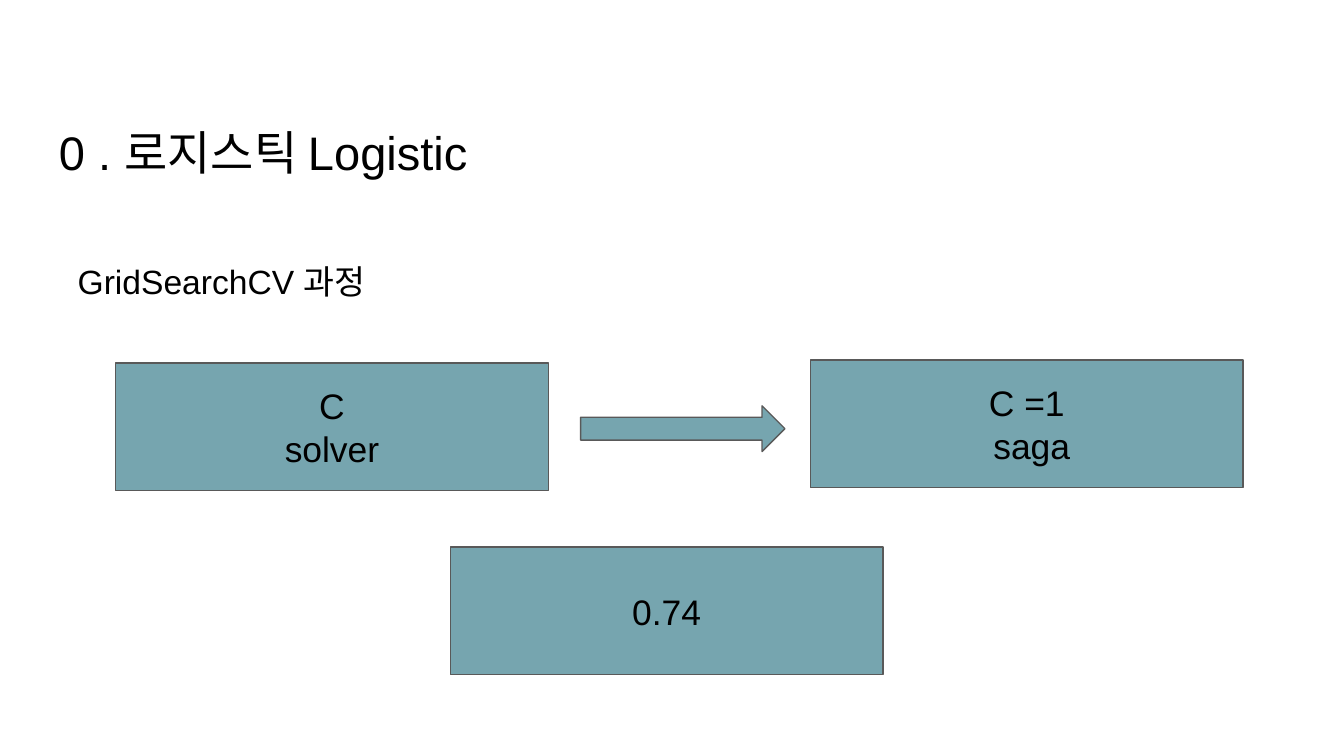
"""Build a slide on the grid search steps for a logistic model."""
from pptx import Presentation
from pptx.dml.color import RGBColor
from pptx.enum.shapes import MSO_SHAPE as Shape
from pptx.enum.text import MSO_ANCHOR as Anchor, PP_ALIGN as Align
from pptx.util import Inches, Pt

WIDTH = 10
HEIGHT = WIDTH * 9 / 16
BOX_SIZE = (3.22, 0.95)
FILL, LINE, INK = "76A5AF", "595959", "000000"
MARGINS = ("margin_left", "margin_top", "margin_right", "margin_bottom")

HEADINGS = [
    ("0 . 로지스틱 Logistic", 25.2, (0.34, 0.82, 9.32, 0.63)),
    ("GridSearchCV 과정", 18, (0.48, 1.84, 3.28, 0.5)),
]
BOXES = [
    (["C", "solver"], (0.86, 2.7)),
    (["C =1", " saga"], (6.03, 2.68)),
    (["0.74"], (3.35, 4.07)),
]
ARROW = (4.32, 3.02, 1.52, 0.34)


def color(value):
    return RGBColor.from_string(value)


def write(shape, lines, size, align, anchor):
    frame = shape.text_frame
    settings = dict.fromkeys(MARGINS, Inches(0.1))
    settings |= {"word_wrap": True, "vertical_anchor": anchor}
    for name, value in settings.items():
        setattr(frame, name, value)
    for index, line in enumerate(lines):
        para = frame.add_paragraph() if index else frame.paragraphs[0]
        para.alignment = align
        span = para.add_run()
        span.text = line
        for name, value in {"name": "Arial", "size": Pt(size)}.items():
            setattr(span.font, name, value)
        span.font.color.rgb = color(INK)


def add_filled(page, kind, place):
    shape = page.shapes.add_shape(kind, *map(Inches, place))
    shape.shadow.inherit = False
    shape.fill.solid()
    shape.fill.fore_color.rgb = color(FILL)
    shape.line.color.rgb = color(LINE)
    shape.line.width = Pt(0.75)
    return shape


def main():
    deck = Presentation()
    deck.slide_width, deck.slide_height = Inches(WIDTH), Inches(HEIGHT)
    page = deck.slides.add_slide(deck.slide_layouts[6])
    for text, size, place in HEADINGS:
        heading = page.shapes.add_textbox(*map(Inches, place))
        write(heading, [text], size, Align.LEFT, Anchor.TOP)
    for lines, corner in BOXES:
        box = add_filled(page, Shape.RECTANGLE, corner + BOX_SIZE)
        write(box, lines, 19, Align.CENTER, Anchor.MIDDLE)
    add_filled(page, Shape.RIGHT_ARROW, ARROW)
    deck.save("out.pptx")


if __name__ == "__main__":
    main()
